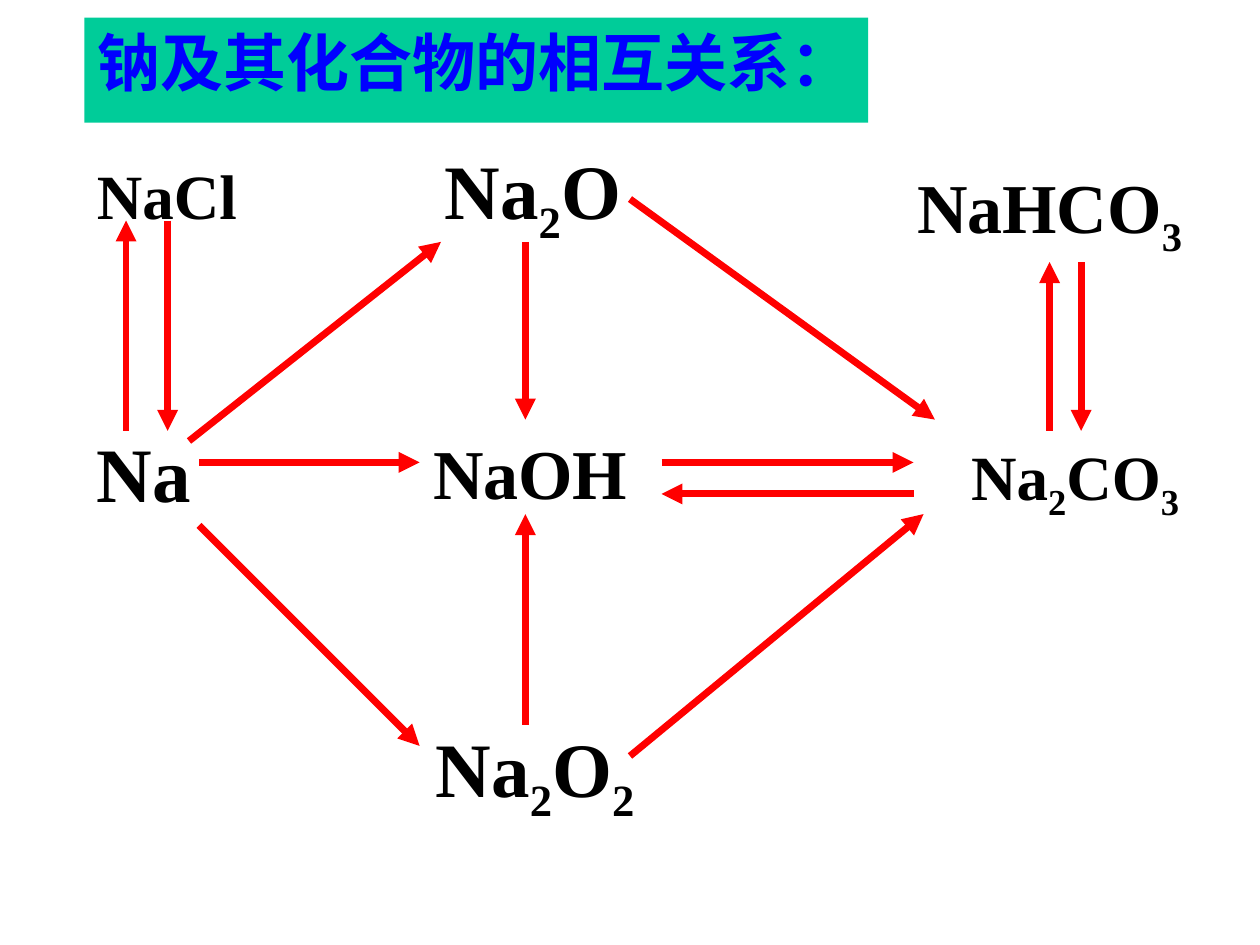
from lxml import etree
from pptx import Presentation
from pptx import util as u
from pptx.dml.color import RGBColor
from pptx.enum import shapes, text
from pptx.oxml import ns

COLORS = {"banner": "00CC99", "title": "0000FF", "formula": "000000", "arrow": "FF0000"}
FONT = "Times New Roman"

FORMULAS = [
    ("Na", 44, (0.67, 2.33, 0.95, 0.84)),
    ("Na2O", 44, (3.43, 0.08, 1.6, 0.94)),
    ("Na2O2", 44, (3.36, 4.67, 1.78, 0.94)),
    ("NaOH", 40, (3.34, 2.36, 1.74, 0.77)),
    ("Na2CO3", 36, (7.61, 2.42, 1.97, 0.79)),
    ("NaHCO3", 40, (7.18, 0.25, 2.3, 0.86)),
    ("NaCl", 36, (0.67, 0.19, 1.31, 0.7)),
]

REACTIONS = [
    ((1.58, 2.67), (3.33, 2.67)),
    ((5.25, 2.67), (7.25, 2.67)),
    ((7.25, 2.92), (5.25, 2.92)),
    ((1.5, 2.5), (3.5, 0.92)),
    ((1.58, 3.17), (3.33, 4.92)),
    ((4.17, 4.75), (4.17, 3.08)),
    ((4.17, 0.92), (4.17, 2.33)),
    ((5, 0.58), (7.42, 2.33)),
    ((5, 5), (7.33, 3.08)),
    ((8.33, 2.42), (8.33, 1.08)),
    ((8.58, 1.08), (8.58, 2.42)),
    ((1, 2.42), (1, 0.75)),
    ((1.33, 0.75), (1.33, 2.42)),
]


def set_all(target, values):
    for name, value in values.items():
        setattr(target, name, value)


def style_font(font, size, color):
    set_all(font, {"name": FONT, "size": u.Pt(size), "bold": True})
    font.color.rgb = RGBColor.from_string(COLORS[color])


def style_frame(frame, wrap):
    set_all(frame, {
        "word_wrap": wrap,
        "auto_size": text.MSO_AUTO_SIZE.SHAPE_TO_FIT_TEXT,
        "vertical_anchor": text.MSO_ANCHOR.TOP,
        "margin_left": u.Inches(0.1),
        "margin_right": u.Inches(0.1),
        "margin_top": u.Inches(0.05),
        "margin_bottom": u.Inches(0.05),
    })
    frame.paragraphs[0].alignment = text.PP_ALIGN.LEFT


def place_title(page, box):
    title = page.shapes.title
    set_all(title, dict(zip(("left", "top", "width", "height"), map(u.Inches, box))))
    title.fill.solid()
    title.fill.fore_color.rgb = RGBColor.from_string(COLORS["banner"])
    title.text_frame.text = "钠及其化合物的相互关系："
    style_frame(title.text_frame, True)
    style_font(title.text_frame.paragraphs[0].runs[0].font, 36, "title")


def add_formula(page, formula, size, box):
    label = page.shapes.add_textbox(*map(u.Inches, box))
    style_frame(label.text_frame, False)
    para = label.text_frame.paragraphs[0]
    for part in formula.replace("2", " 2 ").replace("3", " 3 ").split():
        span = para.add_run()
        span.text = part
        style_font(span.font, size, "formula")
        if part.isdigit():
            span._r.get_or_add_rPr().set("baseline", "-25000")


def add_arrow(page, start, end):
    arrow = page.shapes.add_connector(
        shapes.MSO_CONNECTOR.STRAIGHT, *map(u.Inches, start + end))
    arrow.line.width = u.Pt(4)
    arrow.line.color.rgb = RGBColor.from_string(COLORS["arrow"])
    etree.SubElement(arrow.line._get_or_add_ln(), ns.qn("a:tailEnd"), type="triangle")
    etree.SubElement(arrow._element.spPr, ns.qn("a:effectLst"))


def place_diagram(page, box):
    left, top = box[:2]
    for formula, size, (x, y, width, height) in FORMULAS:
        add_formula(page, formula, size, (left + x, top + y, width, height))
    for ends in REACTIONS:
        start, end = [(left + x, top + y) for x, y in ends]
        add_arrow(page, start, end)


def main():
    deck = Presentation()
    set_all(deck, {"slide_width": u.Inches(10), "slide_height": u.Inches(7.5)})
    page = deck.slides.add_slide(deck.slide_layouts.get_by_name("Title Only"))
    place_title(page, (0.67, 0.14, 6.22, 0.7))
    place_diagram(page, (0, 1, 10, 6))
    deck.save("out.pptx")


if __name__ == "__main__":
    main()
